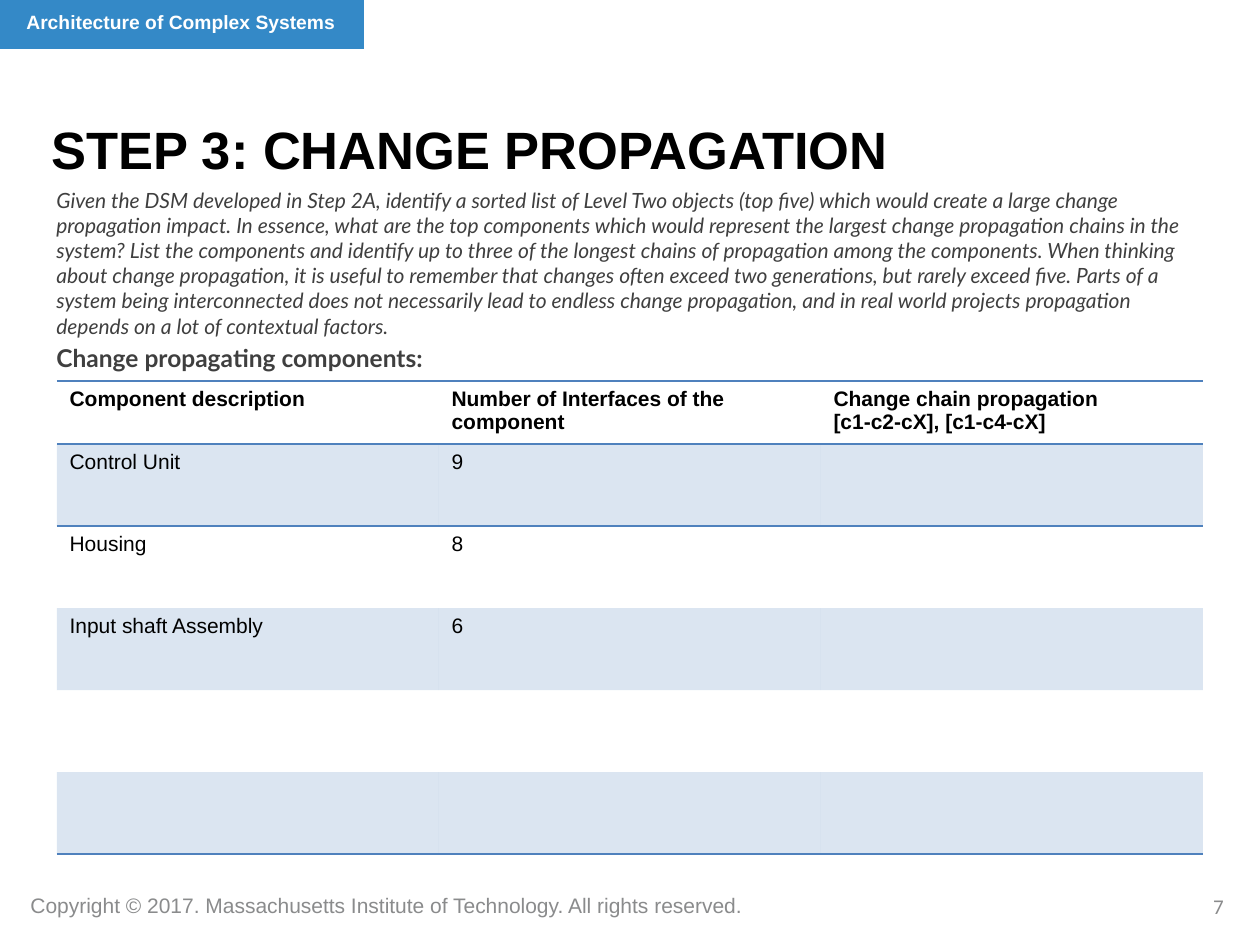
from dataclasses import dataclass

from lxml import etree
from pptx import Presentation
from pptx.dml.color import RGBColor
from pptx.enum.shapes import MSO_SHAPE
from pptx.enum.text import MSO_ANCHOR, PP_ALIGN
from pptx.oxml.ns import qn
from pptx.util import Pt

PX = 914400 / 126
RECT = MSO_SHAPE.RECTANGLE
TOP = MSO_ANCHOR.TOP
LEFT, RIGHT = PP_ALIGN.LEFT, PP_ALIGN.RIGHT

WHITE = RGBColor(0xFF, 0xFF, 0xFF)
BLACK = RGBColor(0, 0, 0)
BLUE = RGBColor(0x34, 0x89, 0xC7)
DARK = RGBColor(0x3F, 0x3F, 0x3F)
GRAY = RGBColor(0x8A, 0x8B, 0x8C)
STEEL = RGBColor(0x4F, 0x81, 0xBD)

NO_STYLE = "{2D5ABB26-0587-4C30-8999-92F81FD0307C}"
HEAD_H, ROW_H, COL_W = 63, 82, 382

TASK = (
    "Given the DSM developed in Step 2A, identify a sorted list of Level Two objects "
    "(top five) which would create a large change propagation impact. In essence, what "
    "are the top components which would represent the largest change propagation chains "
    "in the system? List the components and identify up to three of the longest chains "
    "of propagation among the components. When thinking about change propagation, it is "
    "useful to remember that changes often exceed two generations, but rarely exceed "
    "five. Parts of a system being interconnected does not necessarily lead to endless "
    "change propagation, and in real world projects propagation depends on a lot of "
    "contextual factors."
)
ROWS = [
    ("Component description", "Number of Interfaces of the component",
     "Change chain propagation\v[c1-c2-cX], [c1-c4-cX]"),
    ("Control Unit", "9", ""),
    ("Housing", "8", ""),
    ("Input shaft Assembly", "6", ""),
    ("", "", ""),
    ("", "", ""),
]


@dataclass
class Label:
    text: str
    x: int
    y: int
    w: int
    h: int
    size: int
    color: RGBColor
    face: str = "Arial"
    bold: bool = False
    ital: bool = False
    wrap: bool = True
    align: PP_ALIGN = LEFT


TITLE = Label("STEP 3: CHANGE PROPAGATION", 39, 111, 1072, 73, 30, BLACK, bold=True)
LABELS = [
    Label("Architecture of Complex Systems", 14, 4, 352, 73, 11, WHITE, bold=True),
    Label("Copyright © 2017. Massachusetts Institute of Technology. All rights reserved.",
          18, 886, 751, 38, 12, GRAY, wrap=False),
    Label("Change propagating components:", 44, 337, 609, 41, 14, DARK, "Lato", bold=True),
    Label(TASK, 44, 181, 1160, 165, 12, DARK, "Lato", ital=True),
    Label("7", 942, 887, 294, 50, 12, GRAY, "Calibri", align=RIGHT),
]


def emu(*vals: int) -> list[int]:
    return [round(v * PX) for v in vals]


def style(frame, size: int, color: RGBColor, face: str, bold: bool, ital: bool) -> None:
    for par in frame.paragraphs:
        for run in par.runs:
            font = run.font
            font.size, font.name = Pt(size), face
            font.bold, font.italic = bold, ital
            font.color.rgb = color


def write(shape, lab: Label) -> None:
    frame = shape.text_frame
    frame.text = lab.text
    frame.word_wrap = lab.wrap
    frame.vertical_anchor = TOP
    frame.paragraphs[0].alignment = lab.align
    style(frame, lab.size, lab.color, lab.face, lab.bold, lab.ital)


def block(slide, x: int, y: int, w: int, h: int, color: RGBColor):
    shape = slide.shapes.add_shape(RECT, *emu(x, y, w, h))
    shape.shadow.inherit = False
    shape.fill.solid()
    shape.fill.fore_color.rgb = color
    shape.line.fill.background()
    return shape


def edge(cell, side: str) -> None:
    line = etree.Element(qn(f"a:{side}"), w=str(Pt(1)))
    fill = etree.SubElement(line, qn("a:solidFill"))
    etree.SubElement(fill, qn("a:srgbClr"), val=str(STEEL))
    cell._tc.get_or_add_tcPr().insert(0, line)


def tint(cell) -> None:
    cell.fill.solid()
    cell.fill.fore_color.rgb = STEEL
    color = cell._tc.tcPr.find(".//" + qn("a:srgbClr"))
    etree.SubElement(color, qn("a:alpha"), val="20000")


def grid(slide, x: int, y: int) -> None:
    last = len(ROWS) - 1
    size = emu(x, y, 3 * COL_W, HEAD_H + last * ROW_H)
    table = slide.shapes.add_table(len(ROWS), 3, *size).table
    table._tbl.tblPr.find(qn("a:tableStyleId")).text = NO_STYLE
    table.horz_banding = False
    for col in table.columns:
        col.width = emu(COL_W)[0]
    for r, texts in enumerate(ROWS):
        table.rows[r].height = emu(ROW_H if r else HEAD_H)[0]
        for c, text in enumerate(texts):
            cell = table.cell(r, c)
            if text:
                cell.text_frame.text = text
                style(cell.text_frame, 12, BLACK, "Arial", r == 0, False)
            if r % 2:
                tint(cell)
            else:
                cell.fill.background()
            # Bottom goes in first so that top precedes it
            if r in (0, last):
                edge(cell, "lnB")
            if r in (0, 1):
                edge(cell, "lnT")


def main() -> None:
    prs = Presentation()
    prs.slide_width, prs.slide_height = emu(1260, 945)
    slide = prs.slides.add_slide(prs.slide_layouts[6])

    # Header band and title
    block(slide, -1, 0, 365, 49, BLUE)
    write(block(slide, TITLE.x, TITLE.y, TITLE.w, TITLE.h, WHITE), TITLE)

    # Text
    for lab in LABELS:
        write(slide.shapes.add_textbox(*emu(lab.x, lab.y, lab.w, lab.h)), lab)

    # Component table
    grid(slide, 57, 381)
    prs.save("out.pptx")


if __name__ == "__main__":
    main()
